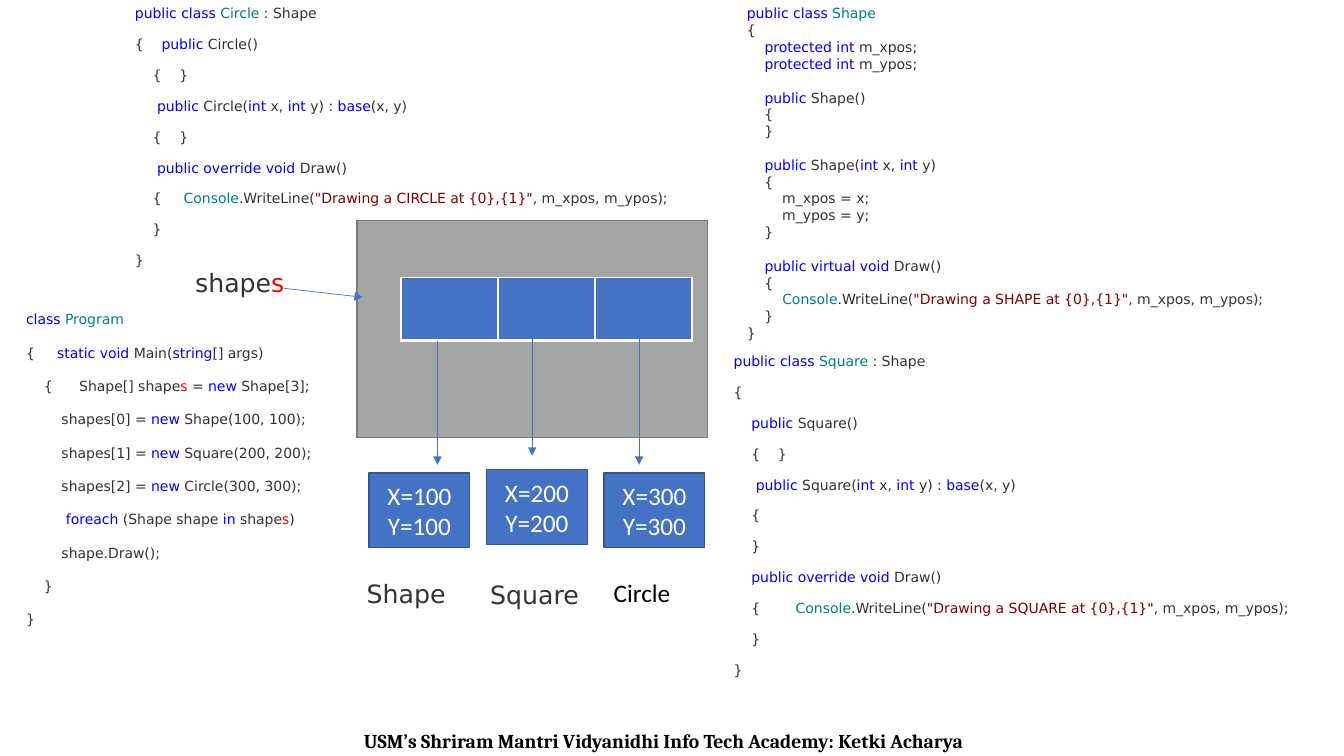
from itertools import groupby

from pptx import Presentation
from pptx import util as u
from pptx.dml.color import RGBColor
from pptx.enum import shapes, text
from pptx.oxml import parse_xml
from pptx.oxml.ns import nsdecls

BLUE, NAVY, WHITE, BLACK = "4472C4", "325491", "FFFFFF", "000000"
GREY, GREY_LINE = "A5A5A5", "7A7A7A"
CODE, KEYWORD, TYPE, STRING, MARK = "333333", "0000FF", "008080", "800000", "FF0000"
CODE_FONT, BODY_FONT, FOOTER_FONT = "DejaVu Sans", "Calibri", "Cambria"
KEYWORDS = set("""public protected class int base override virtual void static
                  string new foreach in""".split())

SHAPE_CLASS = """public class Shape
{
    protected int m_xpos;
    protected int m_ypos;

    public Shape()
    {
    }

    public Shape(int x, int y)
    {
        m_xpos = x;
        m_ypos = y;
    }

    public virtual void Draw()
    {
        Console.WriteLine("Drawing a SHAPE at {0},{1}", m_xpos, m_ypos);
    }
}"""
SQUARE_CLASS = """public class Square : Shape
{
    public Square()
    {    }
     public Square(int x, int y) : base(x, y)
    {
    }
    public override void Draw()
    {        Console.WriteLine("Drawing a SQUARE at {0},{1}", m_xpos, m_ypos);
    }
}"""
CIRCLE_CLASS = """public class Circle : Shape
{    public Circle()
    {    }
     public Circle(int x, int y) : base(x, y)
    {    }
     public override void Draw()
    {     Console.WriteLine("Drawing a CIRCLE at {0},{1}", m_xpos, m_ypos);
    }
}"""
PROGRAM = """class Program
{     static void Main(string[] args)
    {      Shape[] shapes = new Shape[3];
        shapes[0] = new Shape(100, 100);
        shapes[1] = new Square(200, 200);
        shapes[2] = new Circle(300, 300);
         foreach (Shape shape in shapes)
        shape.Draw();
    }
}"""


def rgb(value):
    return RGBColor.from_string(value)


def part(box, x, y, w=0, h=0):
    """Place a part given in percent of the box."""
    left, top, width, height = box
    return (int(left + width * x / 100), int(top + height * y / 100),
            int(width * w / 100), int(height * h / 100))


def add_run(p, value, size, color, font, bold=False):
    r = p.add_run()
    r.text = value
    r.font.size, r.font.name, r.font.bold = u.Pt(size), font, bold
    r.font.color.rgb = rgb(color)


def text_frame(s, box):
    tf = s.shapes.add_textbox(*box).text_frame
    tf.word_wrap = True
    return tf


def label(s, box, pieces, size=18, font=CODE_FONT, align=None, bold=False):
    p = text_frame(s, box).paragraphs[0]
    p.alignment = align
    for value, color in pieces:
        add_run(p, value, size, color, font, bold)


def rectangle(s, box, fill, line):
    sp = s.shapes.add_shape(shapes.MSO_SHAPE.RECTANGLE, *box)
    sp.shadow.inherit = False
    sp.fill.solid()
    sp.fill.fore_color.rgb = rgb(fill)
    sp.line.color.rgb = rgb(line)
    sp.line.width = u.Pt(1)
    return sp


def arrow(s, start, end):
    c = s.shapes.add_connector(shapes.MSO_CONNECTOR.STRAIGHT, *start[:2], *end[:2])
    c.line.color.rgb = rgb(BLUE)
    c.line.width = u.Pt(0.5)
    c.line._get_or_add_ln().append(
        parse_xml(f'<a:tailEnd {nsdecls("a")} type="triangle"/>'))
    c._element.spPr.append(parse_xml(f'<a:effectLst {nsdecls("a")}/>'))


def highlight(line):
    """Yield (text, colour) tokens of one line of code."""
    previous = ""
    for i, chunk in enumerate(line.split('"')):
        if i % 2:
            yield f'"{chunk}"', STRING
            continue
        words = ["".join(g) for _, g in groupby(chunk, str.isalpha)]
        for word, following in zip(words, words[1:] + [""]):
            if word in KEYWORDS:
                yield word, KEYWORD
            elif word == "Console" or previous == "class" and word.isalpha():
                yield word, TYPE
            elif word == "shapes" and not following.startswith("["):
                yield word[:-1], CODE
                yield word[-1], MARK
            else:
                yield word, CODE
            if word.strip():
                previous = word


def listing(s, box, code, after=10, spacing=None):
    """A code listing; an empty line becomes space before the next one."""
    tf = text_frame(s, box)
    p, gap = tf.paragraphs[0], 0
    for i, line in enumerate(code.split("\n")):
        if not line:
            gap = 12
            continue
        if i:
            p = tf.add_paragraph()
        p.space_before, p.space_after = u.Pt(gap), u.Pt(after)
        p.line_spacing = spacing
        gap = 0
        for color, tokens in groupby(highlight(line), lambda token: token[1]):
            add_run(p, "".join(t for t, _ in tokens), 10, color, CODE_FONT)


def array(s, box, count):
    """The row of array cells with white borders."""
    table = s.shapes.add_table(1, count, *box).table
    for cell in table.rows[0].cells:
        cell.fill.solid()
        cell.fill.fore_color.rgb = rgb(BLUE)
        tcPr = cell._tc.get_or_add_tcPr()
        for i, (side, width) in enumerate(zip("LRTB", (1, 1, 1, 3))):
            tcPr.insert(i, parse_xml(
                f'<a:ln{side} {nsdecls("a")} w="{u.Pt(width)}"><a:solidFill>'
                f'<a:srgbClr val="{WHITE}"/></a:solidFill></a:ln{side}>'))


def memory_diagram(s, box):
    """The array in memory, its objects and their labels."""
    rectangle(s, box, GREY, GREY_LINE)
    array(s, part(box, 12.6, 26, 83, 29.3), 3)
    label(s, part(box, -48.9, 19, 43.7, 18.6), [("shape", CODE), ("s", MARK)])
    arrow(s, part(box, -20.7, 31.2), part(box, 1.7, 35.3))

    # name, value, arrow x / start / end, object top, label top / width, font, colour
    objects = [
        ("Shape", 100, 23, 55.3, 112.6, 116.3, 162.8, 28.7, CODE_FONT, CODE),
        ("Square", 200, 50, 50.2, 108.4, 114.9, 163.3, 33.3, CODE_FONT, CODE),
        ("Circle", 300, 80.5, 54.4, 112.6, 116.3, 162.3, 28.7, BODY_FONT, BLACK),
    ]
    for i, (name, value, x, start, end, top, under, width, font, color) in enumerate(objects):
        arrow(s, part(box, x, start), part(box, x, end))
        sp = rectangle(s, part(box, 3.5 + 33.5 * i, top, 28.7, 34.4), BLUE, NAVY)
        tf = sp.text_frame
        tf.vertical_anchor = text.MSO_ANCHOR.MIDDLE
        tf.text = f"X={value}\nY={value}"
        for p in tf.paragraphs:
            p.alignment = text.PP_ALIGN.CENTER
            p.font.size, p.font.name = u.Pt(18), BODY_FONT
            p.font.color.rgb = rgb(WHITE)
        label(s, part(box, 35.2 * i, under, width, 19), [(name, color)], font=font)


def main():
    prs = Presentation()
    prs.slide_width, prs.slide_height = u.Inches(13.33), u.Inches(7.5)
    s = prs.slides.add_slide(prs.slide_layouts[6])
    page = (0, 0, prs.slide_width, prs.slide_height)

    # Footer
    label(s, part(page, -0.6, 95.73, 100, 4.53),
          [("USM’s Shriram Mantri Vidyanidhi Info Tech Academy: Ketki Acharya", BLACK)],
          14, FOOTER_FONT, text.PP_ALIGN.CENTER, True)

    # Memory diagram, then the four code listings
    memory_diagram(s, part(page, 26.55, 29.2, 26.1, 28.67))
    listing(s, part(page, 54.83, 0, 47.93, 46.93), SHAPE_CLASS, after=0)
    listing(s, part(page, 53.85, 46, 57.08, 46.93), SQUARE_CLASS)
    listing(s, part(page, 9.3, 0, 43.88, 36.53), CIRCLE_CLASS)
    listing(s, part(page, 1.2, 40.13, 42.83, 43.87), PROGRAM, spacing=1.15)

    prs.save("out.pptx")


if __name__ == "__main__":
    main()
